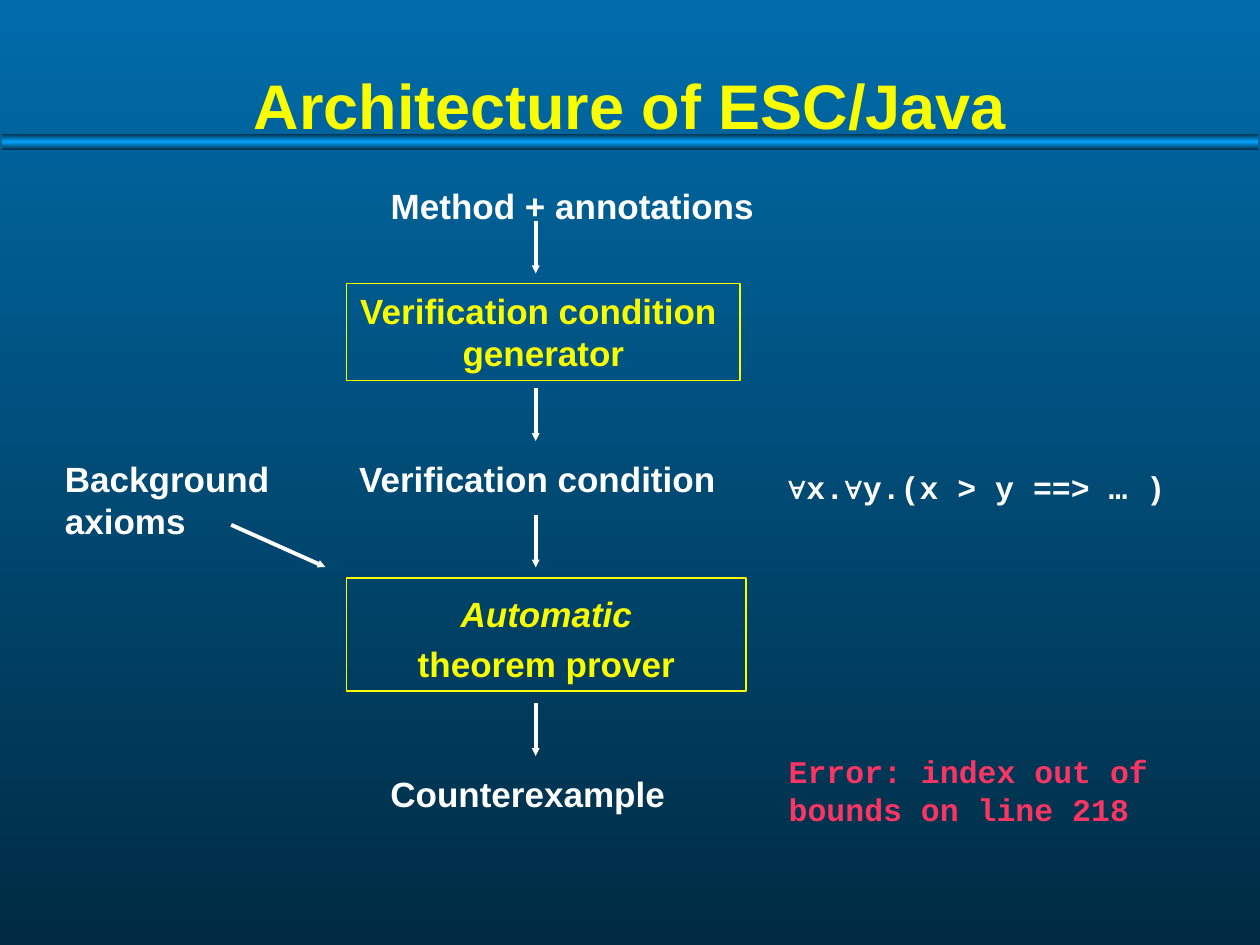
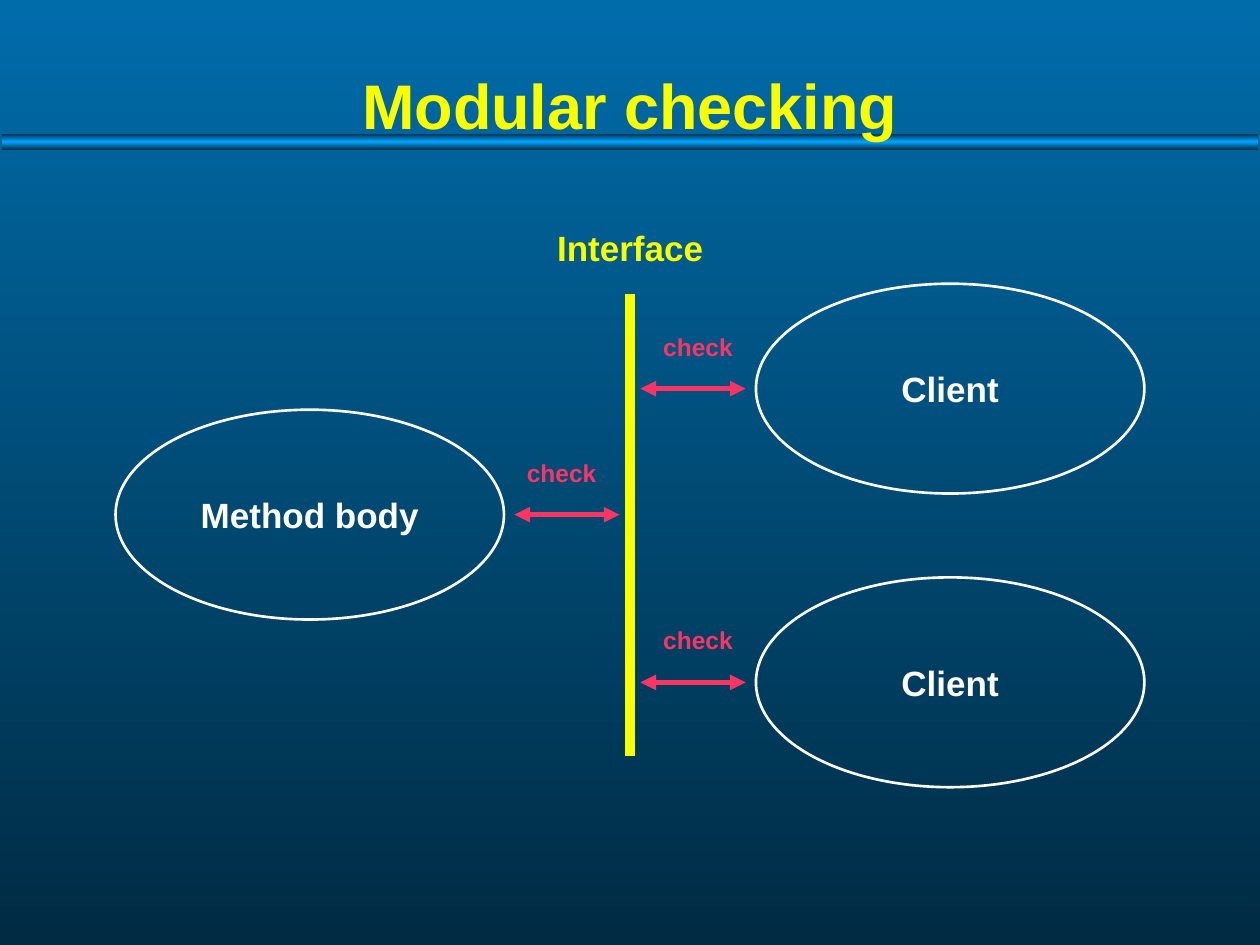
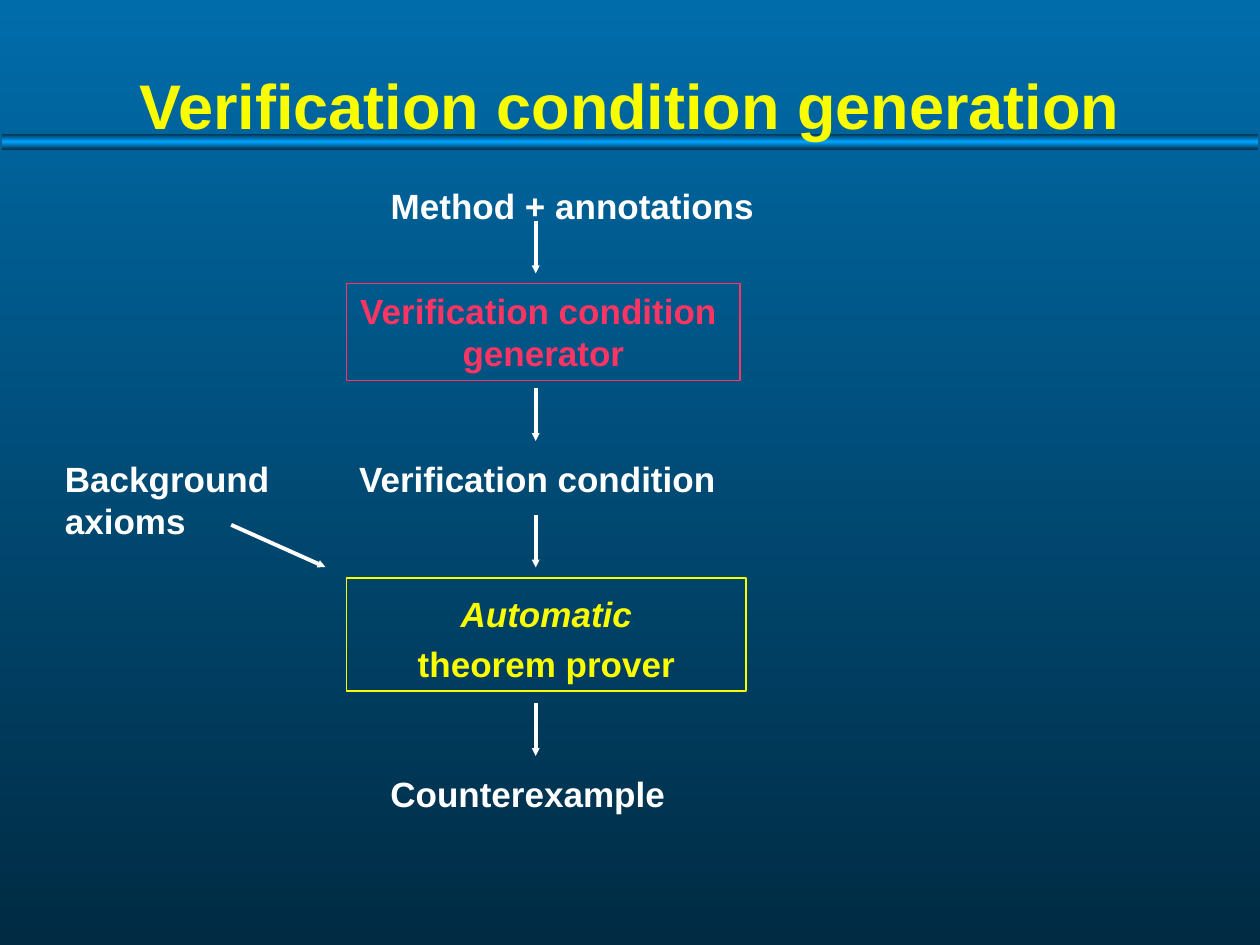
from lxml import etree
from pptx import Presentation
from pptx import util as u
from pptx.dml import color
from pptx.enum import shapes, text
from pptx.oxml import ns

# Shared look
WHITE, YELLOW, RED = "FFFFFF", "FAFD00", "FA3563"
BACK_TOP, BACK_BOTTOM = "006CAA", "002B43"
BAND_LIGHT, BAND_DARK = "01A4FF", "00304B"
SANS, MONO = "Arial", "Courier New"
LEFT, CENTER = text.PP_ALIGN.LEFT, text.PP_ALIGN.CENTER

# Flow diagram, in cm
FLOW_X, FLOW_ARROW_X, FLOW_ARROW_LENGTH = 6.99, 10.8, 1.06
FLOW_ARROW_TOPS = (4.45, 7.83, 10.38, 14.18)

# Interface diagram, in cm
OVAL_WIDTH, OVAL_HEIGHT = 7.83, 4.23
CHECK_LENGTH, CHECK_LABEL_RISE = 2.12, 1.27


def rgb(value):
    return color.RGBColor.from_string(value)


def cm(*lengths):
    return [u.Cm(length) for length in lengths]


def set_gradient(fill, top, bottom):
    fill.gradient()
    fill.gradient_angle = 270
    for stop, shade, position in zip(fill.gradient_stops, (top, bottom), (0, 1)):
        stop.color.rgb = rgb(shade)
        stop.position = position


def write(frame, paragraphs, size, shade, align, spacing=None):
    """Each paragraph is a list of runs: (wording, font, italic)."""
    for number, runs in enumerate(paragraphs):
        paragraph = frame.add_paragraph() if number else frame.paragraphs[0]
        paragraph.alignment = align
        if spacing:
            paragraph.line_spacing = spacing
        for wording, font, italic in runs:
            run = paragraph.add_run()
            run.text = wording
            run.font.name = font
            run.font.size = u.Pt(size)
            run.font.bold = True
            run.font.italic = italic
            run.font.color.rgb = rgb(shade)


def plain(*lines, font=SANS):
    return [[(line, font, False)] for line in lines]


def add_label(slide, box, paragraphs, size=20, shade=WHITE, align=LEFT,
              wrap=False):
    frame = slide.shapes.add_textbox(*cm(*box)).text_frame
    frame.word_wrap = wrap
    frame.auto_size = text.MSO_AUTO_SIZE.SHAPE_TO_FIT_TEXT
    write(frame, paragraphs, size, shade, align)


def add_outline(slide, kind, box, paragraphs, shade, width, anchor,
                spacing=None):
    outline = slide.shapes.add_shape(kind, *cm(*box))
    outline.shadow.inherit = False
    outline.fill.background()
    outline.line.color.rgb = rgb(shade)
    outline.line.width = u.Pt(width)
    frame = outline.text_frame
    frame.word_wrap = False
    frame.vertical_anchor = anchor
    write(frame, paragraphs, 20, shade, CENTER, spacing)


def add_step(slide, box, paragraphs, shade, spacing=None):
    add_outline(slide, shapes.MSO_SHAPE.RECTANGLE, box, paragraphs, shade,
                0.75, text.MSO_ANCHOR.TOP, spacing)


def add_oval(slide, left, top, wording):
    add_outline(slide, shapes.MSO_SHAPE.OVAL,
                (left, top, OVAL_WIDTH, OVAL_HEIGHT), plain(wording),
                WHITE, 1.5, text.MSO_ANCHOR.MIDDLE)


def add_line(slide, ends, shade, width, heads=(), head_size="med"):
    """heads lists the arrowed ends: headEnd (start), tailEnd (finish)."""
    line = slide.shapes.add_connector(shapes.MSO_CONNECTOR.STRAIGHT, *cm(*ends))
    line.line.color.rgb = rgb(shade)
    line.line.width = u.Pt(width)
    outline = line.line._get_or_add_ln()
    for head in heads:
        etree.SubElement(outline, ns.qn(f"a:{head}"), type="triangle",
                         w=head_size, len=head_size)
    etree.SubElement(line._element.spPr, ns.qn("a:effectLst"))


def add_flow_arrow(slide, *ends):
    add_line(slide, ends, WHITE, 2.25, ("tailEnd",), "sm")


def add_check(slide, arrow_left, label_left, oval_top):
    middle = oval_top + OVAL_HEIGHT / 2
    add_line(slide, (arrow_left, middle, arrow_left + CHECK_LENGTH, middle),
             RED, 3, ("headEnd", "tailEnd"))
    add_label(slide, (label_left, middle - CHECK_LABEL_RISE, 1.95, 0.87),
              plain("check"), size=14, shade=RED)


def start_slide(prs, heading):
    slide = prs.slides.add_slide(prs.slide_layouts[6])
    # Double band under the title
    for top, upper, lower in ((2.86, BAND_LIGHT, BAND_DARK),
                              (2.7, BAND_DARK, BAND_LIGHT)):
        band = slide.shapes.add_shape(shapes.MSO_SHAPE.RECTANGLE,
                                      *cm(0.05, top, 25.32, 0.16))
        band.shadow.inherit = False
        band.line.fill.background()
        set_gradient(band.fill, upper, lower)
    # Title
    frame = slide.shapes.add_textbox(*cm(1.31, 0.91, 22.78, 1.47)).text_frame
    frame.word_wrap = True
    write(frame, plain(heading), 36, YELLOW, CENTER, spacing=1.2)
    return slide


def add_flow(slide, generator_shade):
    # Steps from the method down to the counterexample
    add_label(slide, (7.54, 3.59, 8, 1.12), plain("Method + annotations"),
              align=CENTER)
    add_step(slide, (FLOW_X, 5.72, 7.93, 1.95),
             plain("Verification condition ", "generator"), generator_shade)
    add_label(slide, (FLOW_X, 9.1, 7.72, 1.96),
              plain("Verification condition"), wrap=True)
    add_step(slide, (FLOW_X, 11.65, 8.05, 2.28),
             [[("Automatic", SANS, True)], [("theorem prover", SANS, False)]],
             YELLOW, spacing=1.2)
    add_label(slide, (7.62, 15.45, 6.05, 1.12), plain("Counterexample"))
    for top in FLOW_ARROW_TOPS:
        add_flow_arrow(slide, FLOW_ARROW_X, top,
                       FLOW_ARROW_X, top + FLOW_ARROW_LENGTH)
    # Side input to the prover
    add_label(slide, (1.06, 9.1, 4.87, 1.96), plain("Background axioms"),
              wrap=True)
    add_flow_arrow(slide, 4.66, 10.58, 6.56, 11.43)


def build_architecture(prs):
    slide = start_slide(prs, "Architecture of ESC/Java")
    add_flow(slide, YELLOW)
    # Examples beside the flow
    formula = [("∀", SANS, False), ("x.", MONO, False),
               ("∀", SANS, False), ("y.(x > y ==> … )", MONO, False)]
    add_label(slide, (15.63, 9.31, 8.28, 1.02), [formula], size=18)
    add_label(slide, (15.65, 15.03, 7.75, 1.78),
              plain("Error: index out of", "bounds on line 218", font=MONO),
              size=18, shade=RED)


def build_modular_checking(prs):
    slide = start_slide(prs, "Modular checking")
    # Interface between the method and its clients
    add_line(slide, (12.7, 5.93, 12.7, 15.24), YELLOW, 6)
    add_label(slide, (9.53, 4.45, 6.35, 1.12), plain("Interface"),
              shade=YELLOW, align=CENTER, wrap=True)
    # Method body on the left, clients on the right
    body_top = 8.26
    add_oval(slide, 2.33, body_top, "Method body")
    add_check(slide, 10.37, 10.37, body_top)
    for client_top in (5.72, 11.64):
        add_oval(slide, 15.24, client_top, "Client")
        add_check(slide, 12.91, 13.12, client_top)


def build_condition_generation(prs):
    add_flow(start_slide(prs, "Verification condition generation"), RED)


def main():
    prs = Presentation()
    prs.slide_width, prs.slide_height = cm(25.4, 19.05)
    set_gradient(prs.slide_master.background.fill, BACK_TOP, BACK_BOTTOM)
    build_architecture(prs)
    build_modular_checking(prs)
    build_condition_generation(prs)
    prs.save("out.pptx")


if __name__ == "__main__":
    main()
